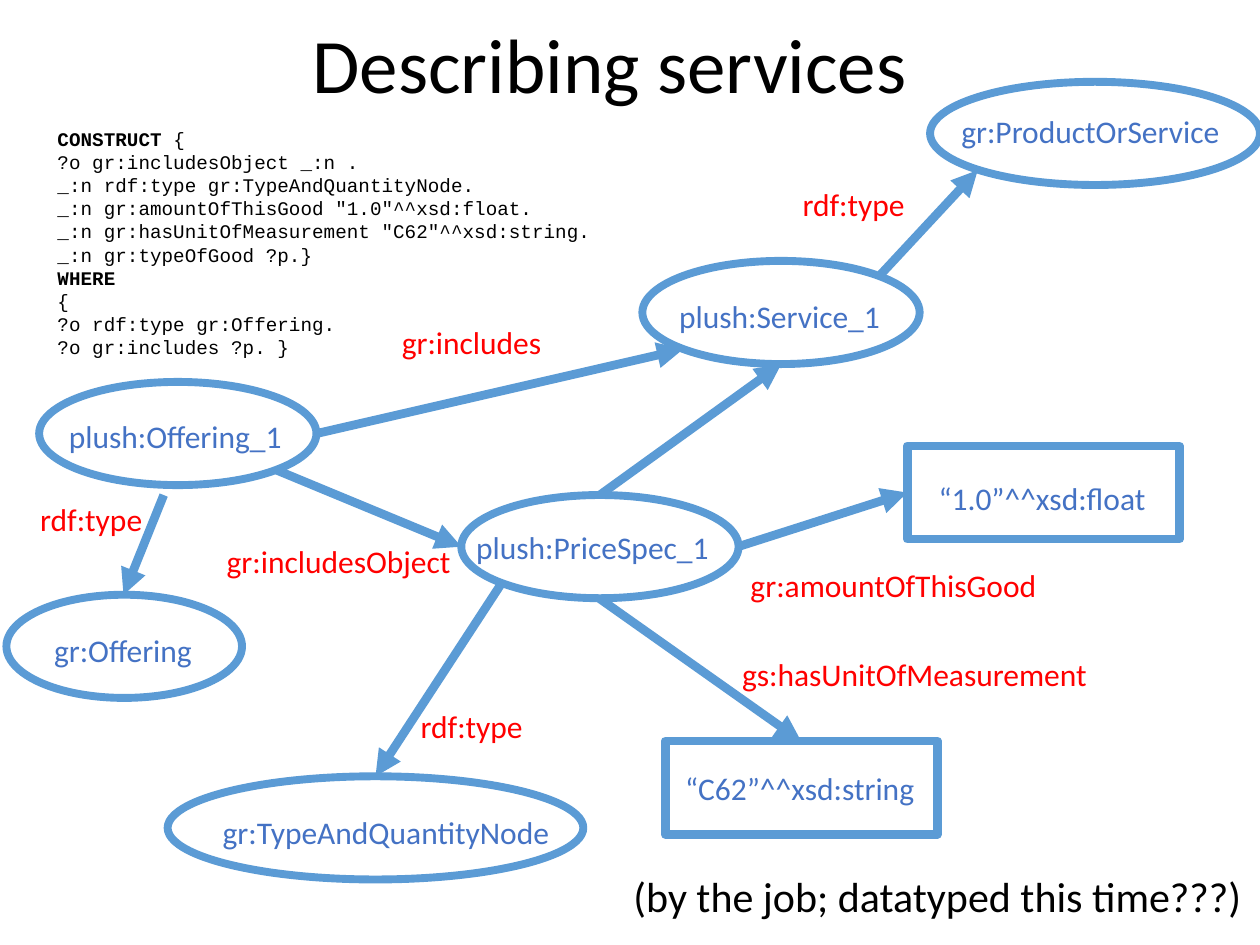
"""Build the "Describing services" slide with its query and RDF graph."""
from lxml import etree
from pptx import Presentation
from pptx.dml.color import RGBColor
from pptx.enum import shapes, text
from pptx.oxml import ns
from pptx.util import Cm, Pt

COLOURS = {"outline": "5B9BD5", "node": "4472C4", "property": "FF0000", "plain": "000000"}

presentation = Presentation()
presentation.slide_width = Cm(25.4)
presentation.slide_height = Cm(19.05)
slide = presentation.slides.add_slide(presentation.slide_layouts[6])


def add_text(lines, left, top, width, height, size, colour, font="Calibri", wrap=False):
    box = slide.shapes.add_textbox(Cm(left), Cm(top), Cm(width), Cm(height))
    frame = box.text_frame
    frame.word_wrap = wrap
    frame.auto_size = text.MSO_AUTO_SIZE.SHAPE_TO_FIT_TEXT
    frame.text = "\n".join(lines)
    for paragraph in frame.paragraphs:
        paragraph.font.name = font
        paragraph.font.size = Pt(size)
        paragraph.font.color.rgb = RGBColor.from_string(COLOURS[colour])
    return frame


def set_outline(line, width):
    line.color.rgb = RGBColor.from_string(COLOURS["outline"])
    line.width = Pt(width)


title = add_text(["Describing services"], 6.05, 0.2, 13.13, 2.36, 44, "plain", wrap=True)
title.auto_size = text.MSO_AUTO_SIZE.NONE
title.vertical_anchor = text.MSO_ANCHOR.MIDDLE
title.paragraphs[0].line_spacing = 0.9

query_lines = [
    "",
    "?o gr:includesObject _:n .",
    "_:n rdf:type gr:TypeAndQuantityNode.",
    '_:n gr:amountOfThisGood "1.0"^^xsd:float.',
    '_:n gr:hasUnitOfMeasurement "C62"^^xsd:string.',
    "_:n gr:typeOfGood ?p.}",
    "WHERE",
    "{",
    "?o rdf:type gr:Offering.",
    "?o gr:includes ?p. }",
]
query = add_text(query_lines, 0.91, 2.44, 11.38, 4.95, 11, "plain", "Courier New")
for words, bold in [("CONSTRUCT ", True), ("{", False)]:
    run = query.paragraphs[0].add_run()
    run.text = words
    run.font.bold = bold
query.paragraphs[6].font.bold = True
query.paragraphs[6].runs[0].font.bold = True

ELLIPSE, RECTANGLE = shapes.MSO_SHAPE.OVAL, shapes.MSO_SHAPE.RECTANGLE
outline_styles = {ELLIPSE: (2.08, 4.5), RECTANGLE: (1.88, 5)}
nodes = [
    (ELLIPSE, 9.3, 9.98, 5.59, "plush:PriceSpec_1", 9.35, 10.52, 5.26),
    (ELLIPSE, 0.79, 7.7, 5.59, "plush:Offering_1", 1.14, 8.28, 4.88),
    (ELLIPSE, 12.95, 5.26, 5.59, "plush:Service_1", 13.44, 5.87, 4.62),
    (ELLIPSE, 18.75, 1.65, 6.65, "gr:ProductOrService", 19.13, 2.13, 5.77),
    (ELLIPSE, 3.38, 15.65, 8.38, "gr:TypeAndQuantityNode", 4.24, 16.26, 7.16),
    (ELLIPSE, 0.13, 11.99, 4.75, "gr:Offering", 0.84, 12.6, 3.33),
    (RECTANGLE, 18.29, 8.99, 5.49, "“1.0”^^xsd:float", 18.67, 9.53, 4.72),
    (RECTANGLE, 13.41, 14.94, 5.49, "“C62”^^xsd:string", 13.56, 15.37, 5.18),
]
for kind, left, top, width, label, label_left, label_top, label_width in nodes:
    height, line_width = outline_styles[kind]
    shape = slide.shapes.add_shape(kind, Cm(left), Cm(top), Cm(width), Cm(height))
    shape.shadow.inherit = False
    shape.fill.background()
    set_outline(shape.line, line_width)
    add_text([label], label_left, label_top, label_width, 1.02, 18, "node")

arrows = [
    (5.56, 9.47, 9.3, 11.02),
    (14.88, 11.02, 18.29, 9.93),
    (10.11, 11.76, 7.57, 15.65),
    (12.09, 9.98, 15.75, 7.34),
    (6.38, 8.74, 13.77, 7.04),
    (17.73, 5.56, 19.71, 3.43),
    (12.09, 12.07, 16.15, 14.94),
    (3.3, 9.98, 2.49, 11.99),
]
for ends in arrows:
    arrow = slide.shapes.add_connector(shapes.MSO_CONNECTOR.STRAIGHT, *map(Cm, ends))
    set_outline(arrow.line, 5)
    etree.SubElement(arrow.line._get_or_add_ln(), ns.qn("a:tailEnd"), type="triangle")
    etree.SubElement(arrow._element.spPr, ns.qn("a:effectLst"))

properties = [
    ("gr:includesObject", 4.32, 10.8, 5.08),
    ("gr:amountOfThisGood", 14.88, 11.28, 6.35),
    ("gs:hasUnitOfMeasurement", 14.71, 13.08, 7.54),
    ("gr:includes", 7.85, 6.38, 3.35),
    ("rdf:type", 15.93, 3.61, 2.59),
    ("rdf:type", 8.23, 14.12, 2.59),
    ("rdf:type", 0.56, 9.96, 2.59),
]
for label, left, top, width in properties:
    add_text([label], left, top, width, 1.02, 18, "property")

add_text(["(by the job; datatyped this time???)"], 12.52, 17.42, 12.88, 1.27, 24, "plain", wrap=True)

presentation.save("out.pptx")
